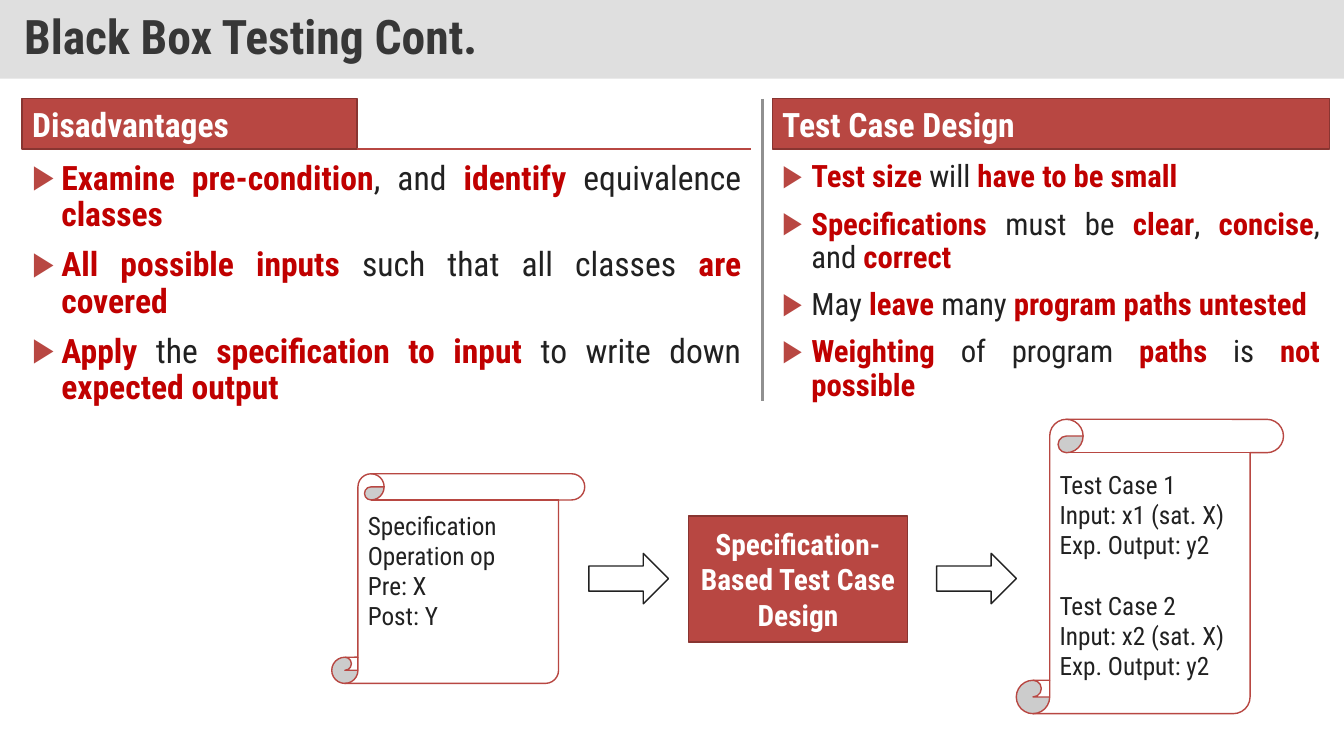
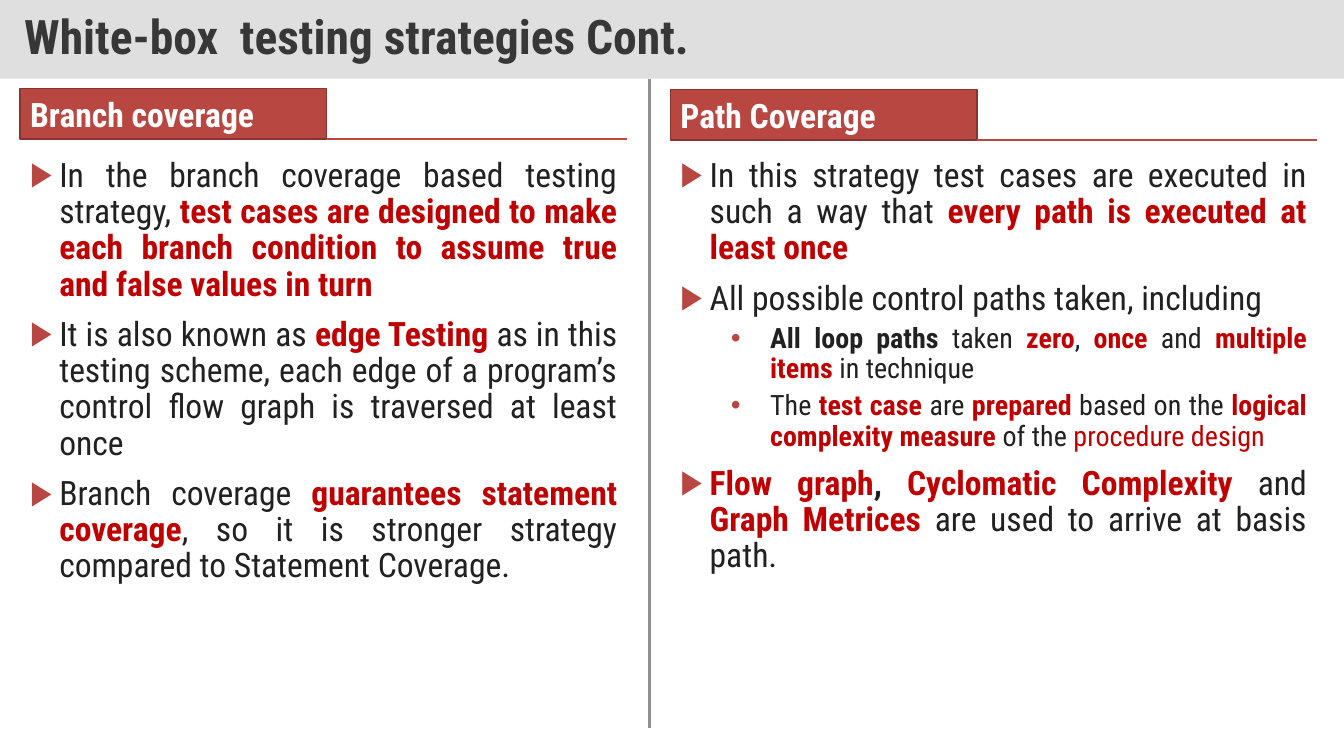
import lxml.etree
import pptx
import pptx.dml.color
import pptx.enum.shapes
import pptx.enum.text
import pptx.oxml.ns
import pptx.util

Inches = pptx.util.Inches
Pt = pptx.util.Pt
SHAPE = pptx.enum.shapes.MSO_SHAPE
ALIGN = pptx.enum.text.PP_ALIGN
ANCHOR = pptx.enum.text.MSO_ANCHOR
qn = pptx.oxml.ns.qn

FONT = "Roboto Condensed"
WIDE, HIGH = 13.33, 7.5
BAND = 0.78
COLORS = {
    "band": "DFDFDF", "title": "373737", "text": "212121", "key": "C00000",
    "brick": "B84742", "edge": "883531", "rule": "909090", "white": "FFFFFF",
}
# Marks inside text: *red bold*, _bold_, ~red~
MARKS = {"*": ("key", True), "_": (None, True), "~": ("key", False)}
# Bullet levels: sign, left margin, hanging indent, space before
LEVELS = [("▶", 0.29, 0.29, 10), ("•", 0.89, 0.39, 5)]


def rgb(name):
    return pptx.dml.color.RGBColor.from_string(COLORS[name])


def split(line, color, bold):
    """Cut a marked line into (text, color, bold) pieces."""
    parts, mark, piece = [], None, ""
    for char in line + "\n":
        if char not in MARKS and char != "\n":
            piece += char
            continue
        if piece:
            tint, heavy = MARKS.get(mark, (color, bold))
            parts.append((piece, tint or color, heavy))
        mark, piece = (None if char == mark else char), ""
    return parts


def bullet(para, level):
    sign, left, hang, _ = LEVELS[level]
    props = para._p.get_or_add_pPr()
    props.set("marL", str(Inches(left)))
    props.set("indent", str(-Inches(hang)))
    if level:
        props.set("lvl", str(level))
    tint = lxml.etree.SubElement(props, qn("a:buClr"))
    lxml.etree.SubElement(tint, qn("a:srgbClr")).set("val", COLORS["brick"])
    lxml.etree.SubElement(props, qn("a:buFont")).set("typeface", "Arial")
    lxml.etree.SubElement(props, qn("a:buChar")).set("char", sign)


def write(frame, lines, size=24, color="text", bold=False, align=ALIGN.LEFT,
          anchor=ANCHOR.TOP, pitch=1.0, inset=(0.1, 0.05, 0.1, 0.05), gaps=None):
    """Fill a frame; a line is text, or (level, size, text) for a bullet."""
    frame.word_wrap = True
    frame.vertical_anchor = anchor
    (frame.margin_left, frame.margin_top,
     frame.margin_right, frame.margin_bottom) = map(Inches, inset)
    for i, line in enumerate(lines):
        para = frame.paragraphs[0] if i == 0 else frame.add_paragraph()
        para.alignment, para.line_spacing = align, pitch
        level, points, words = (None, size, line) if isinstance(line, str) else line
        gap = (gaps or {}).get(i, 0) if level is None else LEVELS[level][3]
        if i and gap:
            para.space_before = Pt(gap)
        if level is not None:
            bullet(para, level)
        for piece, tint, heavy in split(words, color, bold):
            run = para.add_run()
            run.text = piece
            run.font.name, run.font.size, run.font.bold = FONT, Pt(points), heavy
            run.font.color.rgb = rgb(tint)


def block(slide, kind, box, fill, edge=None):
    shape = slide.shapes.add_shape(kind, *map(Inches, box))
    shape.shadow.inherit = False
    shape.fill.solid()
    shape.fill.fore_color.rgb = rgb(fill)
    if edge:
        shape.line.color.rgb = rgb(edge)
        shape.line.width = Pt(1)
    else:
        shape.line.fill.background()
    return shape


def rule(slide, ends, color, width):
    line = slide.shapes.add_connector(
        pptx.enum.shapes.MSO_CONNECTOR.STRAIGHT, *map(Inches, ends))
    line.line.color.rgb = rgb(color)
    line.line.width = Pt(width)
    lxml.etree.SubElement(line._element.spPr, qn("a:effectLst"))


def page(deck, title):
    """Blank slide with the title band."""
    slide = deck.slides.add_slide(deck.slide_layouts[6])
    band = block(slide, SHAPE.RECTANGLE, (0, 0, WIDE, BAND), "band")
    write(band.text_frame, [title], size=34, color="title", bold=True,
          anchor=ANCHOR.MIDDLE, pitch=0.9, inset=(0.24, 0.12, 0.24, 0.12))
    return slide


def panel(slide, box, head, tab, drop, lines):
    """Heading tab with its rule, and a bullet list that starts at drop."""
    x, y, wide, high = box
    label = block(slide, SHAPE.RECTANGLE, (x, y, tab, 0.5), "brick", "edge")
    write(label.text_frame, [head], color="white", bold=True)
    if tab < wide:
        rule(slide, (x + tab, y + 0.5, x + wide, y + 0.5), "brick", 1)
    body = slide.shapes.add_textbox(*map(Inches, (x, y + drop, wide, high - drop)))
    write(body.text_frame, lines, align=ALIGN.JUSTIFY, pitch=0.9)


def flow(slide, box):
    """Specification scroll, design step and test case scroll, with arrows."""
    x, y, wide, high = box
    # Scrolls; the first leaves one line free at its foot
    scrolls = [
        ((x, y + 0.54, 2.51, 2.08), 0.34, None,
         ["Specification", "Operation op", "Pre: X", "Post: Y"]),
        ((x + wide - 2.65, y, 2.65, high), 0.05, {3: 21.5},
         ["Test Case 1", "Input: x1 (sat. X)", "Exp. Output: y2",
          "Test Case 2", "Input: x2 (sat. X)", "Exp. Output: y2"]),
    ]
    for place, foot, gaps, lines in scrolls:
        scroll = block(slide, SHAPE.VERTICAL_SCROLL, place, "white", "brick")
        write(scroll.text_frame, lines, size=18, anchor=ANCHOR.MIDDLE,
              inset=(0.1, 0.05, 0.1, foot), gaps=gaps)
    # Design step
    step = block(slide, SHAPE.RECTANGLE, (x + 3.54, y + 0.96, 2.17, 1.25),
                 "brick", "edge")
    write(step.text_frame, ["Specification-", "Based Test Case", "Design"],
          size=21, color="white", bold=True, align=ALIGN.CENTER,
          anchor=ANCHOR.MIDDLE)
    # Arrows
    for left in (2.55, 6.0):
        block(slide, SHAPE.RIGHT_ARROW, (x + left, y + 1.33, 0.79, 0.5),
              "white", "text")


def black(deck):
    slide = page(deck, "Black Box Testing Cont.")
    panel(slide, (0.22, 0.98, 7.23, 3.34), "Disadvantages", 3.32, 0.57, [
        (0, 24, "*Examine pre-condition*, and *identify *equivalence *classes*"),
        (0, 24, "*All possible inputs* such that all classes* are covered*"),
        (0, 24, "*Apply *the *specification to input *to write down *expected output*"),
    ])
    panel(slide, (7.66, 0.98, 5.53, 3.32), "Test Case Design", 5.53, 0.57, [
        (0, 22, "*Test size *will *have to be small*"),
        (0, 22, "*Specifications *must be *clear*, *concise*, and *correct*"),
        (0, 22, "May *leave *many *program paths untested*"),
        (0, 22, "*Weighting *of program *paths *is* not possible*"),
    ])
    rule(slide, (7.56, 0.98, 7.56, 3.98), "rule", 2.25)
    flow(slide, (3.29, 4.16, 9.44, 2.92))


def white(deck):
    slide = page(deck, "White-box  testing strategies Cont.")
    panel(slide, (0.2, 0.88, 6.02, 5.85), "Branch coverage", 3.04, 0.64, [
        (0, 24, "In the branch coverage based testing strategy, *test cases are "
                "designed to make each branch condition to assume true and false "
                "values in turn*"),
        (0, 24, "It is also known as *edge Testing *as in this testing scheme, each "
                "edge of a program’s control flow graph is traversed at least once"),
        (0, 24, "Branch coverage *guarantees statement coverage*, so it is stronger "
                "strategy compared to Statement Coverage."),
    ])
    panel(slide, (6.65, 0.89, 6.41, 5.71), "Path Coverage", 3.04, 0.63, [
        (0, 24, "In this strategy test cases are executed in such a way that "
                "*every path is executed at least once*"),
        (0, 24, "All possible control paths taken, including"),
        (1, 20, "_All loop paths_ taken *zero*, *once* and *multiple items *in technique"),
        (1, 20, "The *test case *are *prepared* based on the *logical complexity "
                "measure* of the ~procedure design~"),
        (0, 24, "*Flow graph*_, _*Cyclomatic Complexity *and *Graph Metrices *are "
                "used to arrive at basis path."),
    ])
    rule(slide, (6.44, BAND, 6.44, 7.22), "rule", 2.25)


def main():
    deck = pptx.Presentation()
    deck.slide_width, deck.slide_height = Inches(WIDE), Inches(HIGH)
    black(deck)
    white(deck)
    deck.save("out.pptx")


if __name__ == "__main__":
    main()
